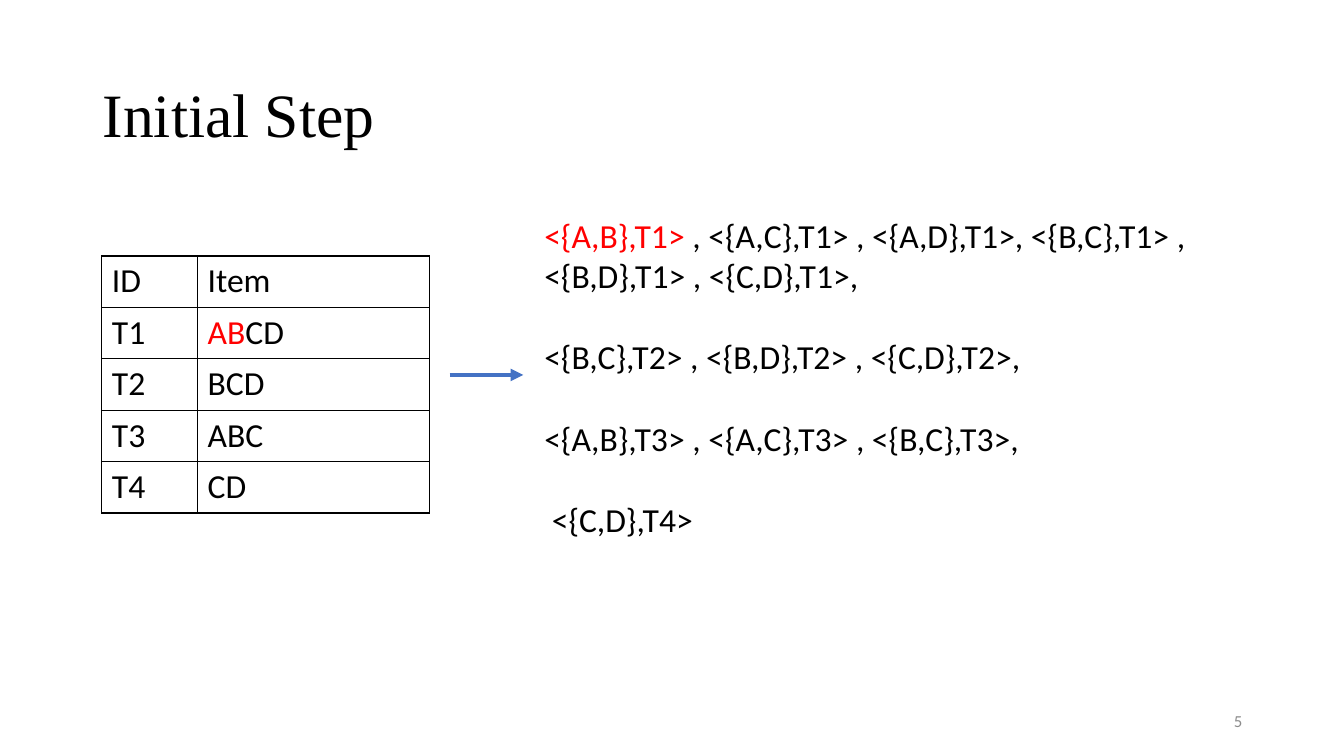
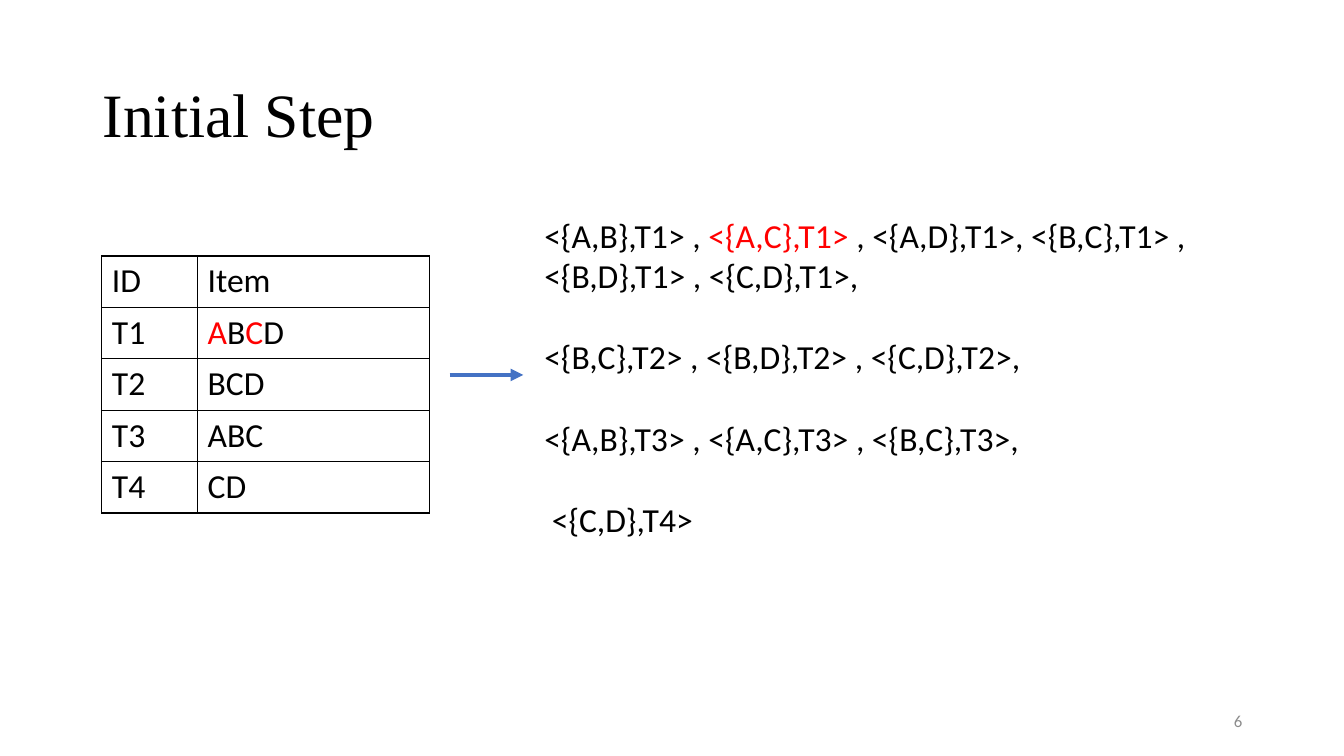
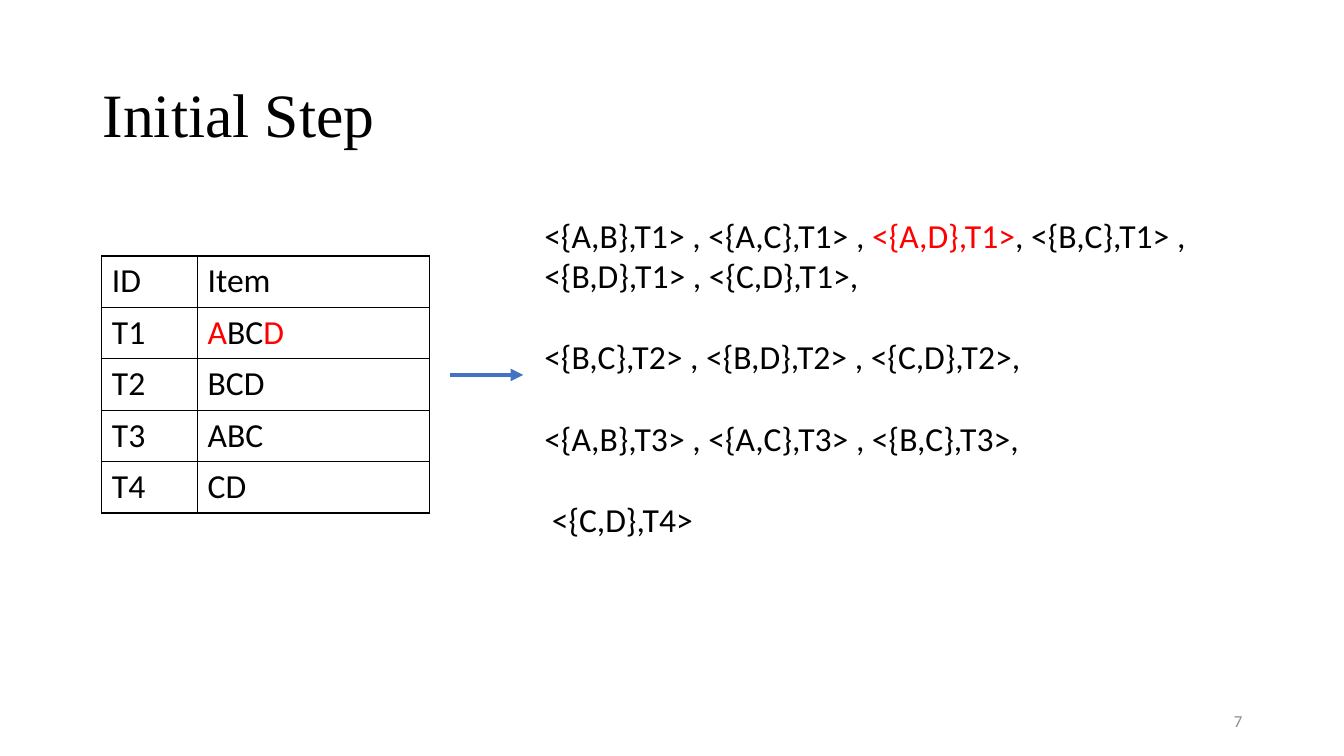
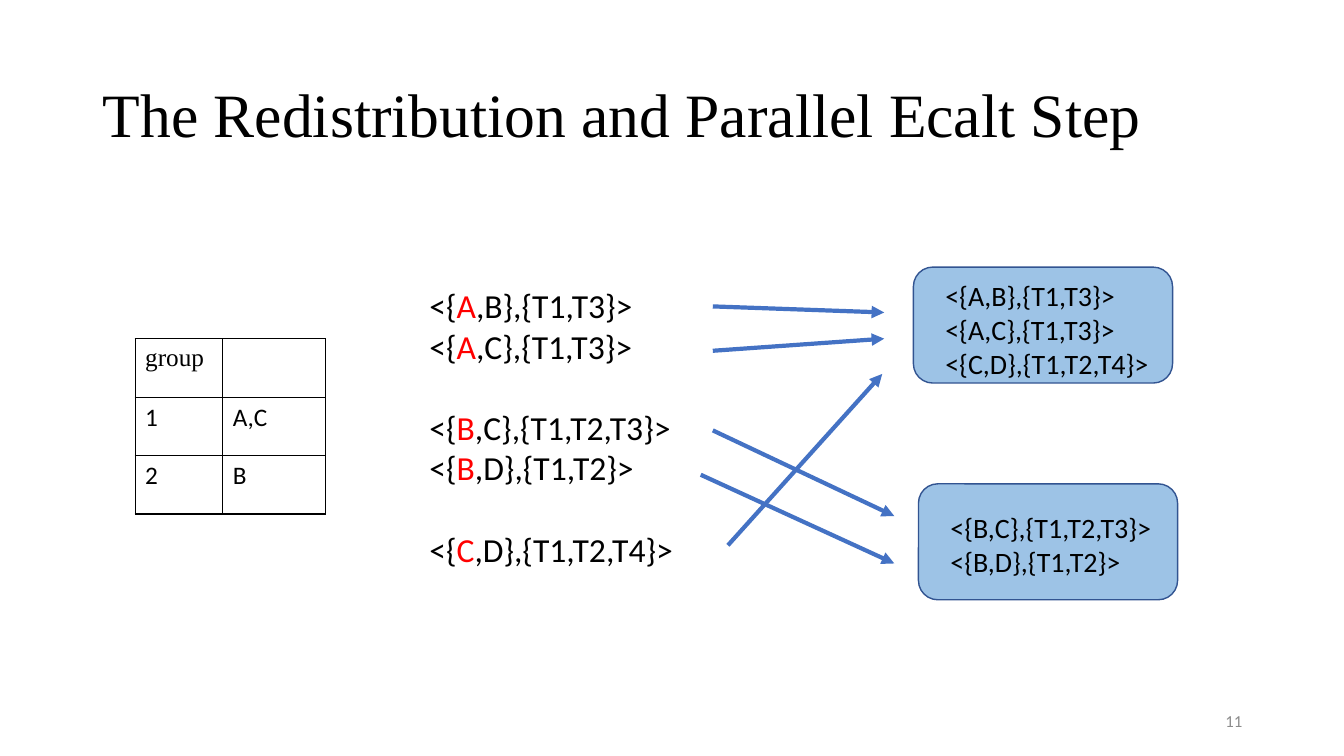
from lxml import etree
from pptx import Presentation
from pptx import util as u
from pptx.dml.color import RGBColor
from pptx.enum import shapes, text
from pptx.oxml import parse_xml
from pptx.oxml.ns import nsdecls, qn


def color(value):
    return RGBColor.from_string(value)


class Deck:
    BLACK, RED, GRAY = "000000", "FF0000", "8C8C8C"
    BLUE, BOX_FILL, BOX_LINE = "4472C4", "9DC3E6", "325491"
    BODY = {"name": "Calibri", "size": u.Pt(24)}
    BOX = {"name": "Calibri", "size": u.Pt(20)}
    SMALL = {"name": "Calibri", "size": u.Pt(18)}
    LABEL = {"name": "Times New Roman", "size": u.Pt(18)}
    TITLE = {"name": "Times New Roman", "size": u.Pt(44)}
    NUMBER = {"name": "Calibri", "size": u.Pt(12)}
    GROUP_GAP = u.Pt(29.3)

    def __init__(self):
        self.presentation = Presentation()
        self.presentation.slide_width = u.Inches(13.33)
        self.presentation.slide_height = u.Inches(7.5)
        self.slide = None

    def add_slide(self, title, number):
        self.slide = self.presentation.slides.add_slide(self.presentation.slide_layouts[6])
        middle = text.MSO_ANCHOR.MIDDLE
        self.add_text((0.92, 0.69, 11.5, 0.96), [[title]], self.TITLE,
                      anchor=middle, line_spacing=0.9)
        self.add_text((9.42, 6.95, 3, 0.4), [[str(number)]], self.NUMBER, self.GRAY,
                      anchor=middle, alignment=text.PP_ALIGN.RIGHT)

    def add_runs(self, paragraph, content, style, ink=BLACK):
        for index, part in enumerate(content.split("*")):
            if part:
                run = paragraph.add_run()
                run.text = part
                for name, value in style.items():
                    setattr(run.font, name, value)
                run.font.color.rgb = color(self.RED if index % 2 else ink)

    def fill_frame(self, frame, groups, style, ink=BLACK, **formats):
        paragraph = None
        for group in groups:
            for index, content in enumerate(group):
                first = paragraph is None
                paragraph = frame.paragraphs[0] if first else frame.add_paragraph()
                if index == 0 and not first:
                    paragraph.space_before = self.GROUP_GAP
                for name, value in formats.items():
                    setattr(paragraph, name, value)
                self.add_runs(paragraph, content, style, ink)

    def add_text(self, place, groups, style, ink=BLACK, anchor=text.MSO_ANCHOR.TOP, **formats):
        frame = self.slide.shapes.add_textbox(*map(u.Inches, place)).text_frame
        frame.word_wrap = True
        frame.vertical_anchor = anchor
        self.fill_frame(frame, groups, style, ink, **formats)

    def add_box(self, place, lines, top_inset):
        shape = self.slide.shapes.add_shape(
            shapes.MSO_SHAPE.ROUNDED_RECTANGLE, *map(u.Inches, place))
        shape.shadow.inherit = False
        shape.fill.solid()
        shape.fill.fore_color.rgb = color(self.BOX_FILL)
        shape.line.color.rgb = color(self.BOX_LINE)
        shape.line.width = u.Pt(1)
        frame = shape.text_frame
        settings = {"word_wrap": True, "vertical_anchor": text.MSO_ANCHOR.TOP,
                    "margin_left": u.Inches(0.26), "margin_right": 0,
                    "margin_top": u.Inches(top_inset), "margin_bottom": 0}
        for name, value in settings.items():
            setattr(frame, name, value)
        self.fill_frame(frame, [lines], self.BOX, alignment=text.PP_ALIGN.LEFT)

    def add_arrow(self, start, end):
        connector = self.slide.shapes.add_connector(
            shapes.MSO_CONNECTOR.STRAIGHT, *map(u.Inches, start + end))
        connector.line.color.rgb = color(self.BLUE)
        connector.line.width = u.Pt(3)
        line = connector._element.spPr.find(qn("a:ln"))
        etree.SubElement(line, qn("a:tailEnd"), type="triangle")
        etree.SubElement(connector._element.spPr, qn("a:effectLst"))

    def add_table(self, left, top, widths, row_height, rows, style, header_style):
        table = self.slide.shapes.add_table(
            len(rows), len(widths), u.Inches(left), u.Inches(top),
            u.Inches(sum(widths)), u.Inches(row_height * len(rows))).table
        table.first_row = table.horz_banding = False
        for column, width in zip(table.columns, widths):
            column.width = u.Inches(width)
        for row_index, row in enumerate(rows):
            for column_index, content in enumerate(row):
                cell = table.cell(row_index, column_index)
                cell.fill.background()
                self.add_borders(cell)
                self.add_runs(cell.text_frame.paragraphs[0], content,
                              style if row_index else header_style)

    def add_borders(self, cell):
        properties = cell._tc.get_or_add_tcPr()
        for index, side in enumerate("LRTB"):
            properties.insert(index, parse_xml(
                f'<a:ln{side} {nsdecls("a")} w="{u.Pt(1)}"><a:solidFill>'
                f'<a:srgbClr val="{self.BLACK}"/></a:solidFill></a:ln{side}>'))


def add_initial_step(deck, number, pair):
    deck.add_slide("Initial Step", number)
    items = "".join(f"*{item}*" if item in pair else item for item in "ABCD")
    rows = [("ID", "Item"), ("T1", items.replace("**", "")),
            ("T2", "BCD"), ("T3", "ABC"), ("T4", "CD")]
    deck.add_table(1.01, 2.54, (0.95, 2.3), 0.51, rows, deck.BODY, deck.BODY)
    entry = "<{" + ",".join(pair) + "},T1>"
    first_line = ("<{A,B},T1> , <{A,C},T1> , <{A,D},T1>, <{B,C},T1> , "
                  "<{B,D},T1> , <{C,D},T1>,")
    groups = [[first_line.replace(entry, f"*{entry}*")],
              ["<{B,C},T2> , <{B,D},T2> , <{C,D},T2>,"],
              ["<{A,B},T3> , <{A,C},T3> , <{B,C},T3>,"],
              [" <{C,D},T4>"]]
    deck.add_text((5.3, 2.08, 6.73, 3.74), groups, deck.BODY)
    deck.add_arrow((4.46, 3.72), (5.19, 3.72))


def add_redistribution(deck):
    deck.add_slide("The Redistribution and Parallel Ecalt Step", 11)
    groups = [["<{*A*,B},{T1,T3}>", "<{*A*,C},{T1,T3}>"],
              ["<{*B*,C},{T1,T2,T3}>", "<{*B*,D},{T1,T2}>"],
              ["<{*C*,D},{T1,T2,T4}>"]]
    deck.add_text((4.16, 2.78, 3.14, 2.93), groups, deck.BODY)
    deck.add_box((9.06, 2.65, 2.57, 1.15),
                 ["<{A,B},{T1,T3}>", "<{A,C},{T1,T3}>", "<{C,D},{T1,T2,T4}>"], 0.06)
    deck.add_box((9.11, 4.8, 2.57, 1.15), ["<{B,C},{T1,T2,T3}>", "<{B,D},{T1,T2}>"], 0.21)
    for start, end in [((7.07, 3.04), (8.77, 3.1)), ((7.07, 3.48), (8.77, 3.36)),
                       ((7.07, 4.27), (8.87, 5.12)), ((6.95, 4.71), (8.87, 5.59)),
                       ((7.22, 5.41), (8.75, 3.71))]:
        deck.add_arrow(start, end)
    deck.add_table(1.34, 3.36, (0.87, 1.02), 0.58,
                   [("group", ""), ("1", "A,C"), ("2", "B")], deck.SMALL, deck.LABEL)


def main():
    deck = Deck()
    for number, pair in enumerate(("AB", "AC", "AD"), start=5):
        add_initial_step(deck, number, pair)
    add_redistribution(deck)
    deck.presentation.save("out.pptx")


if __name__ == "__main__":
    main()
